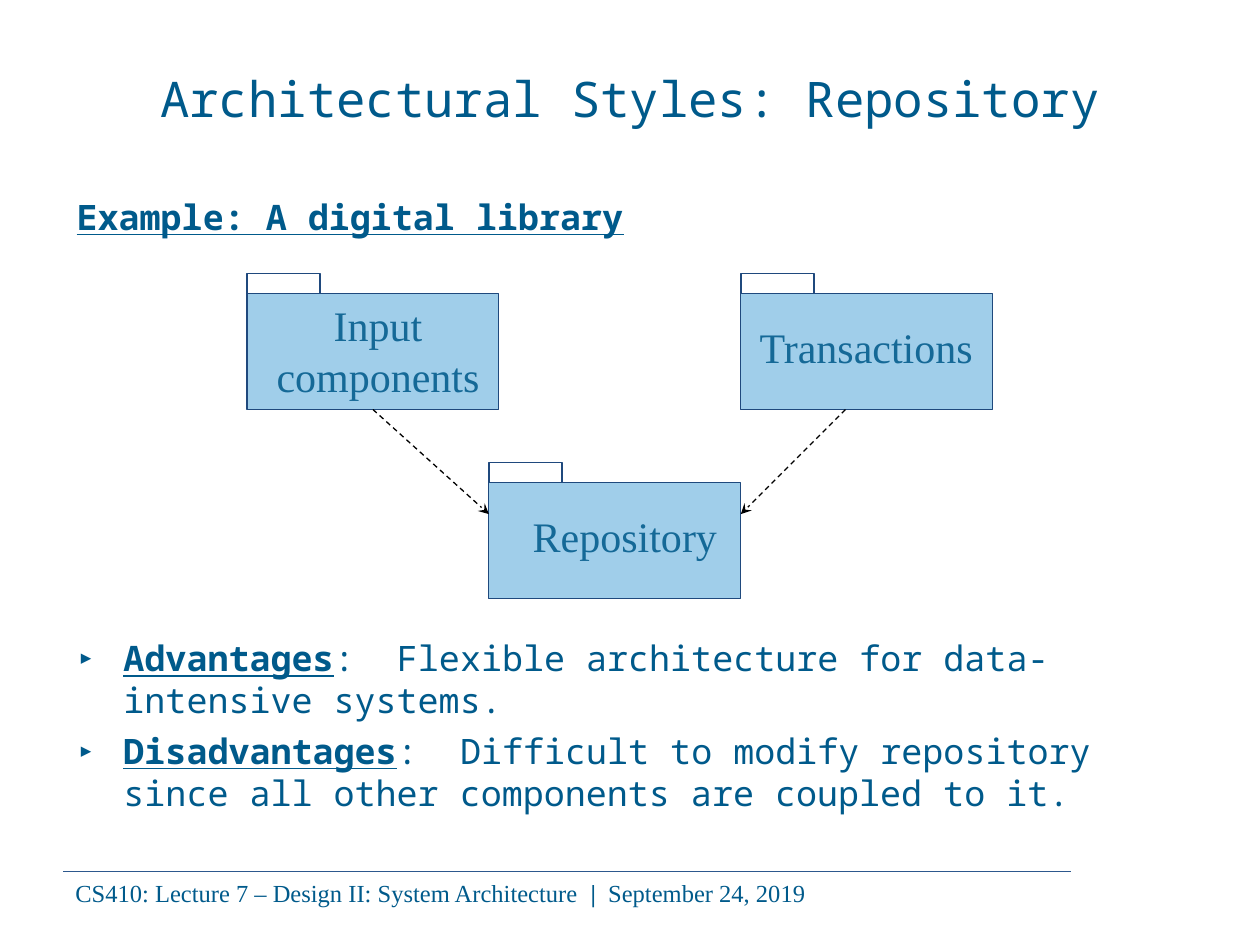
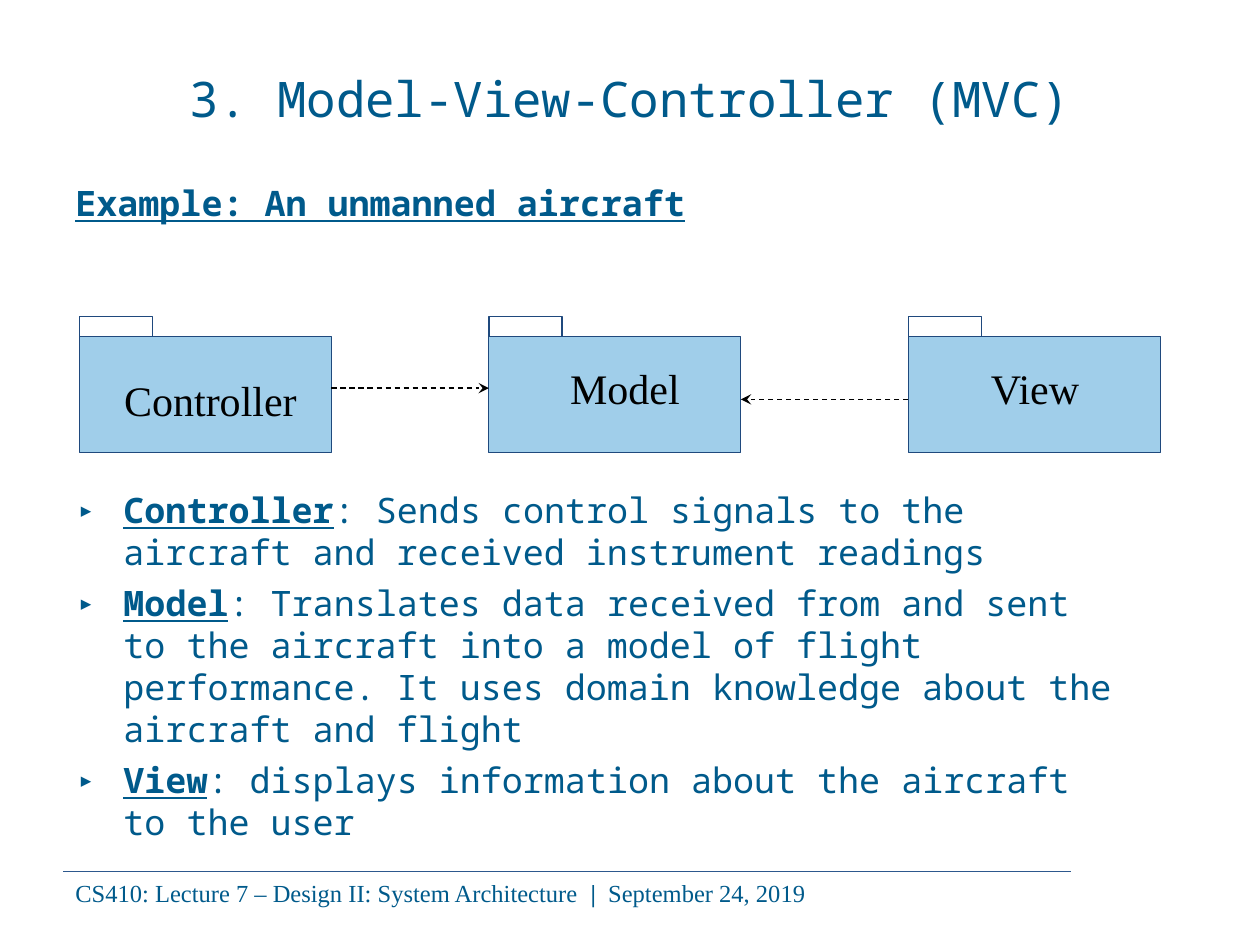
from lxml.etree import SubElement
from pptx import Presentation
from pptx.dml.color import RGBColor
from pptx.enum.dml import MSO_LINE_DASH_STYLE as DASH
from pptx.enum.shapes import MSO_CONNECTOR, MSO_SHAPE
from pptx.enum.text import MSO_ANCHOR, MSO_AUTO_SIZE, PP_ALIGN
from pptx.oxml.ns import qn
from pptx.util import Inches, Pt

MONO, SERIF = "Noto Sans Mono", "Times New Roman"
BLUE, LABEL_BLUE, BLACK = "005A8B", "156997", "000000"
RULE, OUTLINE, PACKAGE_FILL = "2D588D", "1F497D", "A0CEEA"
PACKAGE_W, PACKAGE_H = 2, 0.92
TAB_W, TAB_H, TAB_RISE = 0.58, 0.25, 0.16


def rgb(color):
    """Turn a hex string into a colour."""
    return RGBColor.from_string(color)


def place(sp, left, top, width, height):
    """Move and size a shape, in inches."""
    sp.left, sp.top = Inches(left), Inches(top)
    sp.width, sp.height = Inches(width), Inches(height)


def add_run(p, text, size=20, font=MONO, color=BLUE, bold=False, underline=False):
    """Add a formatted run to a paragraph."""
    r = p.add_run()
    r.text = text
    f = r.font
    f.name, f.size, f.bold, f.underline = font, Pt(size), bold, underline
    f.color.rgb = rgb(color)


def add_text(s, left, top, width, height, align=PP_ALIGN.LEFT):
    """Add a wrapping text box and return its paragraph."""
    tf = s.shapes.add_textbox(*map(Inches, (left, top, width, height))).text_frame
    tf.word_wrap = True
    p = tf.paragraphs[0]
    p.alignment = align
    return p


def add_line(s, start, end, color=BLACK, width=0.75, arrow=False):
    """Add a straight line, dashed with an arrowhead when asked."""
    c = s.shapes.add_connector(MSO_CONNECTOR.STRAIGHT, *map(Inches, start + end))
    c.line.color.rgb = rgb(color)
    c.line.width = Pt(width)
    if arrow:
        c.line.dash_style = DASH.DASH
        SubElement(c.line._ln, qn("a:tailEnd"), type="stealth")
    SubElement(c._element.spPr, qn("a:effectLst"))


def add_box(group, left, top, width, height, fill=None):
    """Add an outlined rectangle to a group."""
    sp = group.shapes.add_shape(
        MSO_SHAPE.RECTANGLE, *map(Inches, (left, top, width, height)))
    sp.shadow.inherit = False
    if fill:
        sp.fill.solid()
        sp.fill.fore_color.rgb = rgb(fill)
    else:
        sp.fill.background()
    sp.line.color.rgb = rgb(OUTLINE)
    sp.line.width = Pt(0.75)


def add_package(s, left, top):
    """Draw a package symbol whose body starts at left, top."""
    group = s.shapes.add_group_shape()
    add_box(group, left, top - TAB_RISE, TAB_W, TAB_H)
    add_box(group, left, top, PACKAGE_W, PACKAGE_H, PACKAGE_FILL)


def add_label(s, text, left, top, width, height=0.5, color=LABEL_BLUE):
    """Add the centred name of a package."""
    p = add_text(s, left, top, width, height, PP_ALIGN.CENTER)
    add_run(p, text, size=24, font=SERIF, color=color)


def add_heading(s, text, left, top, height):
    """Add the underlined example heading."""
    p = add_text(s, left, top, 8.58, height)
    p.space_before = Pt(5)
    add_run(p, text, bold=True, underline=True)


def add_bullet(p, term, text):
    """Fill a bulleted paragraph with a term and its explanation."""
    pPr = p._p.get_or_add_pPr()
    pPr.set("marL", str(Inches(0.38)))
    pPr.set("indent", str(-Inches(0.38)))
    SubElement(SubElement(pPr, qn("a:buClr")), qn("a:srgbClr"), val=BLUE)
    SubElement(pPr, qn("a:buFont"), typeface=MONO)
    SubElement(pPr, qn("a:buChar"), char="▸")
    p.space_before = Pt(5)
    add_run(p, term, bold=True, underline=True)
    add_run(p, text)


def fill_body(s, top, height, items):
    """Place the body placeholder and fill it with bullets."""
    body = s.placeholders[1]
    place(body, 0.5, top, 8.58, height)
    tf = body.text_frame
    tf.auto_size = MSO_AUTO_SIZE.NONE
    for i, (term, text) in enumerate(items):
        add_bullet(tf.add_paragraph() if i else tf.paragraphs[0], term, text)


def add_footer(s):
    """Add the footer rule and the lecture line."""
    add_line(s, (0.5, 6.92), (8.5, 6.92), RULE, 0.5)
    p = add_text(s, 0.5, 6.92, 8.17, 0.34)
    for text, bold in (("CS410: Lecture 7 – Design II: System Architecture  ", False),
                       ("|  ", True), ("September 24, 2019", False)):
        add_run(p, text, size=14, font=SERIF, bold=bold)


def add_slide(prs, title):
    """Add a slide with its title and footer."""
    s = prs.slides.add_slide(prs.slide_layouts[1])
    add_footer(s)
    place(s.shapes.title, 0.5, 0.3, 9, 0.95)
    tf = s.shapes.title.text_frame
    tf.auto_size = MSO_AUTO_SIZE.NONE
    tf.vertical_anchor = MSO_ANCHOR.MIDDLE
    p = tf.paragraphs[0]
    p.alignment = PP_ALIGN.CENTER
    add_run(p, title, size=28)
    return s


def repository_slide(prs):
    """Build the repository example."""
    s = add_slide(prs, "Architectural Styles: Repository")
    fill_body(s, 5, 1.71, [
        ("Advantages", ":  Flexible architecture for data-intensive systems."),
        ("Disadvantages", ":  Difficult to modify repository since all other "
                          "components are coupled to it."),
    ])
    for left, top in ((1.96, 2.33), (5.88, 2.33), (3.88, 3.83)):
        add_package(s, left, top)
    add_label(s, "Repository", 3.71, 4, 2.5)
    add_label(s, "Input components", 1.79, 2.33, 2.42, 0.9)
    add_label(s, "Transactions", 5.54, 2.5, 2.67)
    add_line(s, (2.96, 3.25), (3.88, 4.08), arrow=True)
    add_line(s, (6.71, 3.25), (5.88, 4.08), arrow=True)
    add_heading(s, "Example: A digital library", 0.51, 1.5, 0.5)


def mvc_slide(prs):
    """Build the model-view-controller example."""
    s = add_slide(prs, "3. Model-View-Controller (MVC)")
    fill_body(s, 3.83, 2.88, [
        ("Controller", ": Sends control signals to the aircraft and received "
                       "instrument readings"),
        ("Model", ": Translates data received from and sent to the aircraft into a "
                  "model of flight performance. It uses domain knowledge about the "
                  "aircraft and flight"),
        ("View", ": displays information about the aircraft to the user"),
    ])
    for left in (0.63, 7.21, 3.88):
        add_package(s, left, 2.67)
    add_label(s, "Model", 3.71, 2.83, 2.5, color=BLACK)
    add_label(s, "Controller", 0.46, 2.92, 2.42, color=BLACK)
    add_label(s, "View", 6.88, 2.83, 2.67, color=BLACK)
    add_line(s, (2.63, 3.08), (3.88, 3.08), arrow=True)
    add_line(s, (7.21, 3.17), (5.88, 3.17), arrow=True)
    add_heading(s, "Example: An unmanned aircraft", 0.5, 1.39, 0.69)


def main():
    """Build and save the presentation."""
    prs = Presentation()
    prs.slide_width, prs.slide_height = Inches(10), Inches(7.5)
    repository_slide(prs)
    mvc_slide(prs)
    prs.save("out.pptx")


if __name__ == "__main__":
    main()
